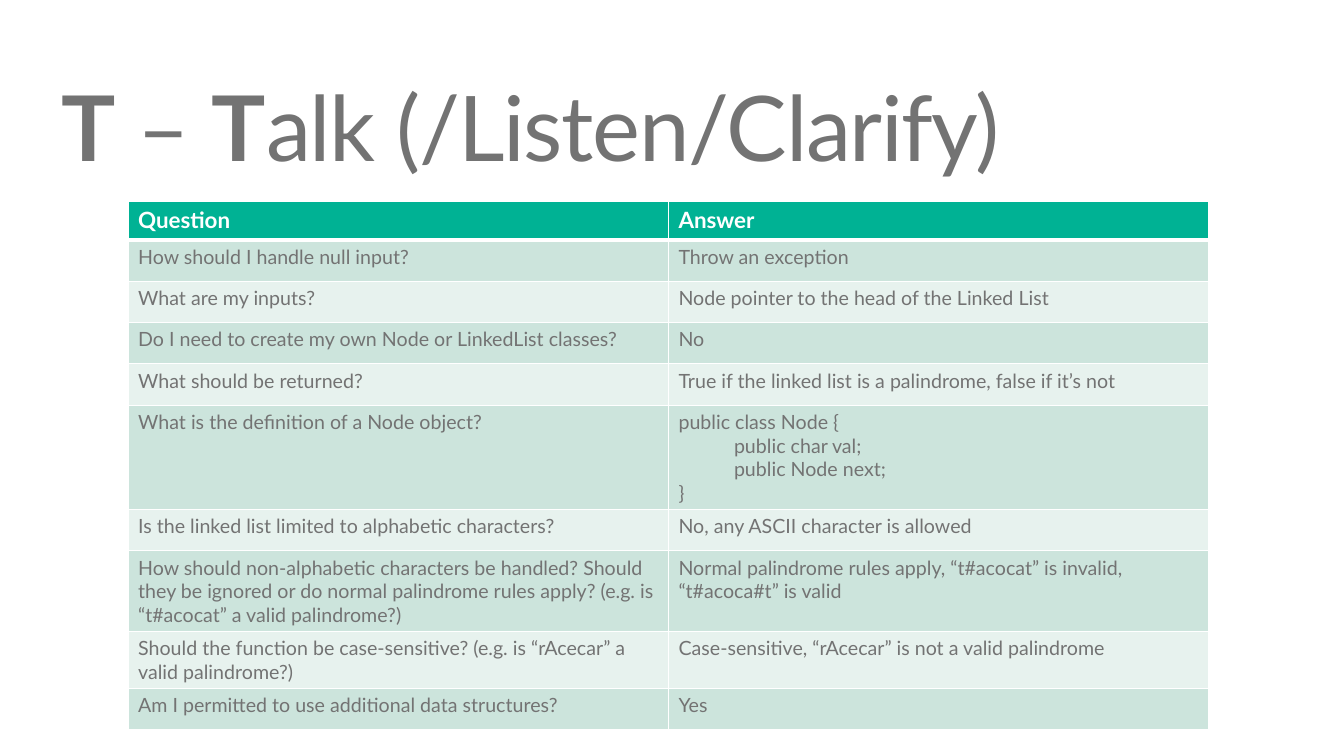
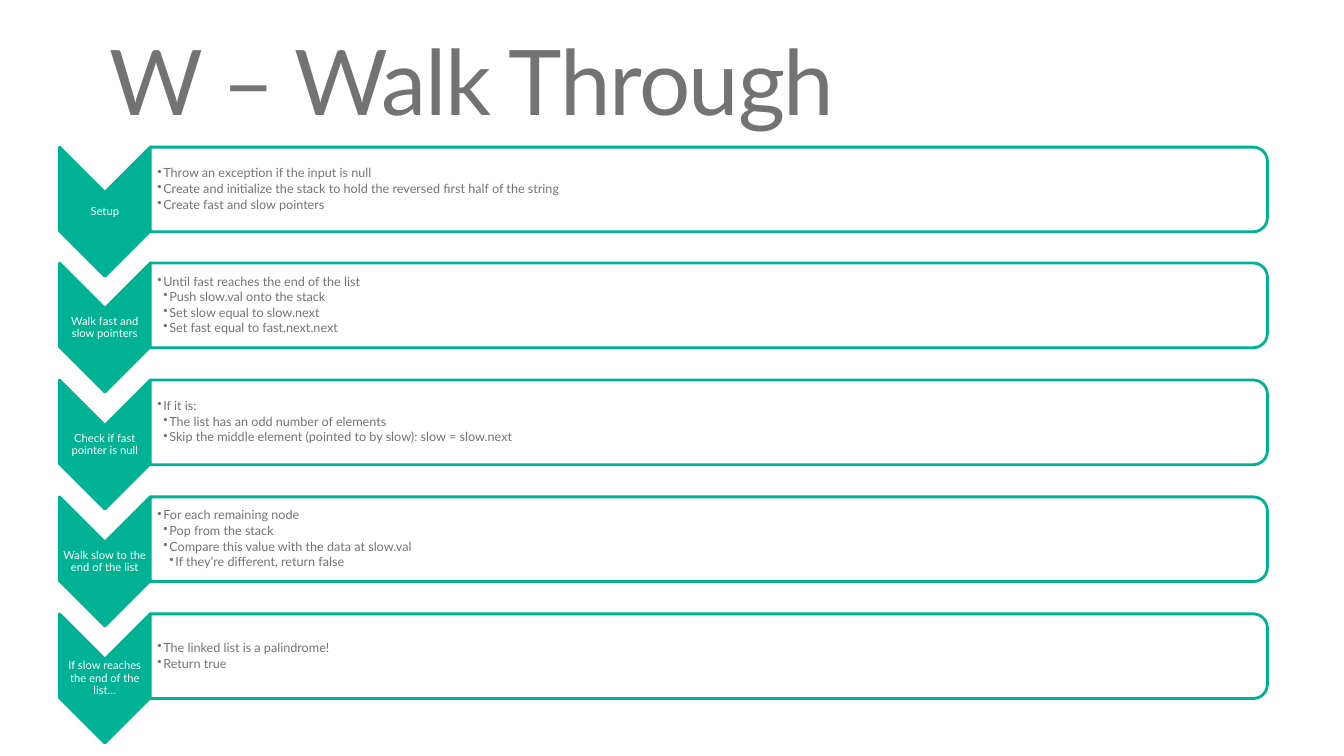
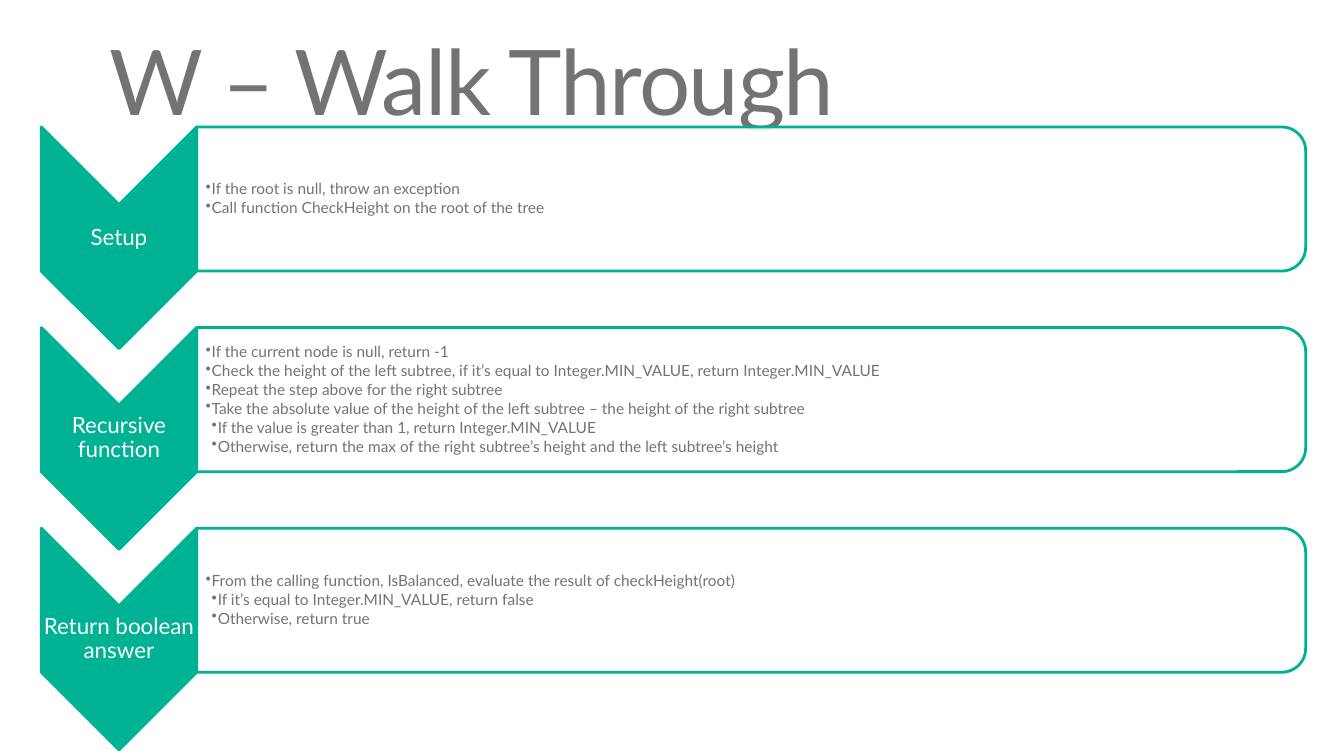
from lxml.etree import SubElement, fromstring
from pptx import Presentation
from pptx.dml.color import RGBColor
from pptx.enum.shapes import MSO_SHAPE as Shape
from pptx.enum.text import MSO_ANCHOR as Anchor, MSO_AUTO_SIZE as Fit, PP_ALIGN as Align
from pptx.oxml.ns import nsdecls, qn
from pptx.util import Pt

# Style
PX = 9144  # EMU in one px, 100 px to the inch
FACE = "Lato"
GREEN = RGBColor(0x00, 0xB2, 0x94)
MINT = RGBColor(0xCC, 0xE4, 0xDC)
PALE = RGBColor(0xE7, 0xF2, 0xEE)
GRAY = RGBColor(0x73, 0x73, 0x73)
WHITE = RGBColor(0xFF, 0xFF, 0xFF)

# Words
QUERIES = [
    ("Question", "Answer"),
    ("How should I handle null input?", "Throw an exception"),
    ("What are my inputs?", "Node pointer to the head of the Linked List"),
    ("Do I need to create my own Node or LinkedList classes?", "No"),
    ("What should be returned?", "True if the linked list is a palindrome, false if it’s not"),
    ("What is the definition of a Node object?",
     "public class Node {\n\tpublic char val;\n\tpublic Node next;\n}"),
    ("Is the linked list limited to alphabetic characters?", "No, any ASCII character is allowed"),
    ("How should non-alphabetic characters be handled? Should they be ignored or do normal "
     "palindrome rules apply? (e.g. is “t#acocat” a valid palindrome?)",
     "Normal palindrome rules apply, “t#acocat” is invalid, “t#acoca#t” is valid"),
    ("Should the function be case-sensitive? (e.g. is “rAcecar” a valid palindrome?)",
     "Case-sensitive, “rAcecar” is not a valid palindrome"),
    ("Am I permitted to use additional data structures?", "Yes"),
]

# Each step: label, then (level, text) points
LIST_STEPS = [
    ("Setup", [
        (1, "Throw an exception if the input is null"),
        (1, "Create and initialize the stack to hold the reversed first half of the string"),
        (1, "Create fast and slow pointers")]),
    ("Walk fast and slow pointers", [
        (1, "Until fast reaches the end of the list"),
        (2, "Push slow.val onto the stack"),
        (2, "Set slow equal to slow.next"),
        (2, "Set fast equal to fast.next.next")]),
    ("Check if fast pointer is null", [
        (1, "If it is:"),
        (2, "The list has an odd number of elements"),
        (2, "Skip the middle element (pointed to by slow): slow = slow.next")]),
    ("Walk slow to the end of the list", [
        (1, "For each remaining node"),
        (2, "Pop from the stack"),
        (2, "Compare this value with the data at slow.val"),
        (3, "If they’re different, return false")]),
    ("If slow reaches the end of the list…", [
        (1, "The linked list is a palindrome!"),
        (1, "Return true")]),
]
TREE_STEPS = [
    ("Setup", [
        (1, "If the root is null, throw an exception"),
        (1, "Call function CheckHeight on the root of the tree")]),
    ("Recursive function", [
        (1, "If the current node is null, return -1"),
        (1, "Check the height of the left subtree, if it’s equal to Integer.MIN_VALUE, "
            "return Integer.MIN_VALUE"),
        (1, "Repeat the step above for the right subtree"),
        (1, "Take the absolute value of the height of the left subtree – "
            "the height of the right subtree"),
        (2, "If the value is greater than 1, return Integer.MIN_VALUE"),
        (2, "Otherwise, return the max of the right subtree’s height and "
            "the left subtree’s height")]),
    ("Return boolean answer", [
        (1, "From the calling function, IsBalanced, evaluate the result of checkHeight(root)"),
        (2, "If it’s equal to Integer.MIN_VALUE, return false"),
        (2, "Otherwise, return true")]),
]


def apply(item, **values):
    for name, value in values.items():
        setattr(item, name, value)


class Deck:
    def __init__(self):
        self.prs = Presentation()
        apply(self.prs, slide_width=1333 * PX, slide_height=750 * PX)

    def box(self, *sides):
        return [side * PX for side in sides]

    def put(self, para, text, size, color, bold=False):
        run = para.add_run()
        run.text = text
        apply(run.font, name=FACE, size=Pt(size), bold=bold)
        run.font.color.rgb = color
        return run

    def frame(self, shape, margins, anchor):
        frame = shape.text_frame
        left, top, right, base = self.box(*margins)
        apply(frame, word_wrap=True, auto_size=Fit.NONE, vertical_anchor=anchor,
              margin_left=left, margin_top=top, margin_right=right, margin_bottom=base)
        return frame

    def slide(self, at, parts):
        """New slide; parts are (text, bold) pieces of its title."""
        self.page = self.prs.slides.add_slide(self.prs.slide_layouts[5])
        title = self.page.shapes.title
        apply(title, **dict(zip(("left", "top", "width", "height"), self.box(*at))))
        para = self.frame(title, (16, 8, 16, 8), Anchor.TOP).paragraphs[0]
        apply(para, alignment=Align.LEFT, line_spacing=0.9)
        for text, bold in parts:
            run = self.put(para, text, 64.7, GRAY, bold)
            run._r.get_or_add_rPr().set("spc", "-100")

    def turned(self, kind, x, y, w, h, fill):
        """Shape turned a quarter right; x, y, w, h is the box it shows."""
        left, top = x + (w - h) / 2, y + (h - w) / 2
        sides = [int(side) for side in self.box(left, top, h, w)]
        shape = self.page.shapes.add_shape(kind, *sides)
        shape.rotation = 90
        shape.shadow.inherit = False
        shape.fill.solid()
        shape.fill.fore_color.rgb = fill
        shape.line.color.rgb = GREEN
        shape.line.width = Pt(2)
        return shape

    def label(self, at, text, size):
        shape = self.page.shapes.add_textbox(*self.box(*at))
        para = self.frame(shape, (1, 1, 1, 1), Anchor.MIDDLE).paragraphs[0]
        apply(para, alignment=Align.CENTER, line_spacing=0.9, space_after=Pt(0.35 * size))
        self.put(para, text, size, WHITE)

    def points(self, at, items, size, inset):
        shape = self.page.shapes.add_textbox(*self.box(*at))
        frame = self.frame(shape, (inset, 1, 1, 1), Anchor.MIDDLE)
        for i, (level, text) in enumerate(items):
            para = frame.add_paragraph() if i else frame.paragraphs[0]
            apply(para, level=level, alignment=Align.LEFT, line_spacing=0.9,
                  space_after=Pt(0.15 * size))
            props = para._p.get_or_add_pPr()
            props.set("marL", str(6 * level * PX))
            props.set("indent", str(-6 * PX))
            SubElement(props, qn("a:buChar")).set("char", "•")
            self.put(para, text, size, GRAY)

    def steps(self, items, x, y, arrow, band, span, sizes, inset):
        """Column of down arrows with a band each; span is first top to last."""
        (wide, tall), (length, high) = arrow, band
        pad = high // 20
        for i, (name, notes) in enumerate(items):
            top = y + span * i // (len(items) - 1)
            self.turned(Shape.CHEVRON, x, top, wide, tall, GREEN)
            self.label((x, top + wide // 2, wide, tall - wide), name, sizes[0])
            panel = self.turned(Shape.ROUND_2_SAME_RECTANGLE, x + wide, top, length, high, WHITE)
            tint = panel._element.spPr.find(qn("a:solidFill"))[0]
            SubElement(tint, qn("a:alpha")).set("val", "90000")
            self.points((x + wide, top + pad, length - pad, high - 2 * pad),
                        notes, sizes[1], inset)

    def edges(self, cell, base):
        """White cell borders, with the bottom one base points wide."""
        props = cell._tc.get_or_add_tcPr()
        for i, (side, width) in enumerate(zip("LRTB", (1, 1, 1, base))):
            props.insert(i, fromstring(
                f'<a:ln{side} {nsdecls("a")} w="{Pt(width)}"><a:solidFill>'
                f'<a:srgbClr val="{WHITE}"/></a:solidFill></a:ln{side}>'))

    def table(self, at, rows, heights):
        grid = self.page.shapes.add_table(len(rows), len(rows[0]), *self.box(*at)).table
        for r, row in enumerate(rows):
            head = r == 0
            grid.rows[r].height = heights[not head] * PX
            size, color = (16, WHITE) if head else (14, GRAY)
            for c, text in enumerate(row):
                cell = grid.cell(r, c)
                cell.fill.solid()
                cell.fill.fore_color.rgb = GREEN if head else (PALE, MINT)[r % 2]
                self.edges(cell, 3 if head else 1)
                for i, line in enumerate(text.split("\n")):
                    frame = cell.text_frame
                    para = frame.add_paragraph() if i else frame.paragraphs[0]
                    if line.startswith("\t"):
                        tabs = SubElement(para._p.get_or_add_pPr(), qn("a:tabLst"))
                        stop = SubElement(tabs, qn("a:tab"))
                        stop.set("pos", str(55 * PX))
                        stop.set("algn", "l")
                    self.put(para, line, size, color, head)


def main():
    deck = Deck()

    # Talk
    deck.slide((45, 75, 1153, 125), [("T", True), (" – ", False), ("T", True),
                                     ("alk (/Listen/Clarify)", False)])
    deck.table((127, 200, 1072, 407), QUERIES, (38, 41))

    # Walk through: linked list, then tree
    walk = (93, 29, 1150, 145), [("W – Walk Through", False)]
    deck.slide(*walk)
    deck.steps(LIST_STEPS, 59, 146, (90, 128), (1108, 84), 463, (8, 9), 7)
    deck.slide(*walk)
    deck.steps(TREE_STEPS, 41, 126, (154, 220), (1100, 143), 398, (16, 11), 9)

    deck.prs.save("out.pptx")


if __name__ == "__main__":
    main()
